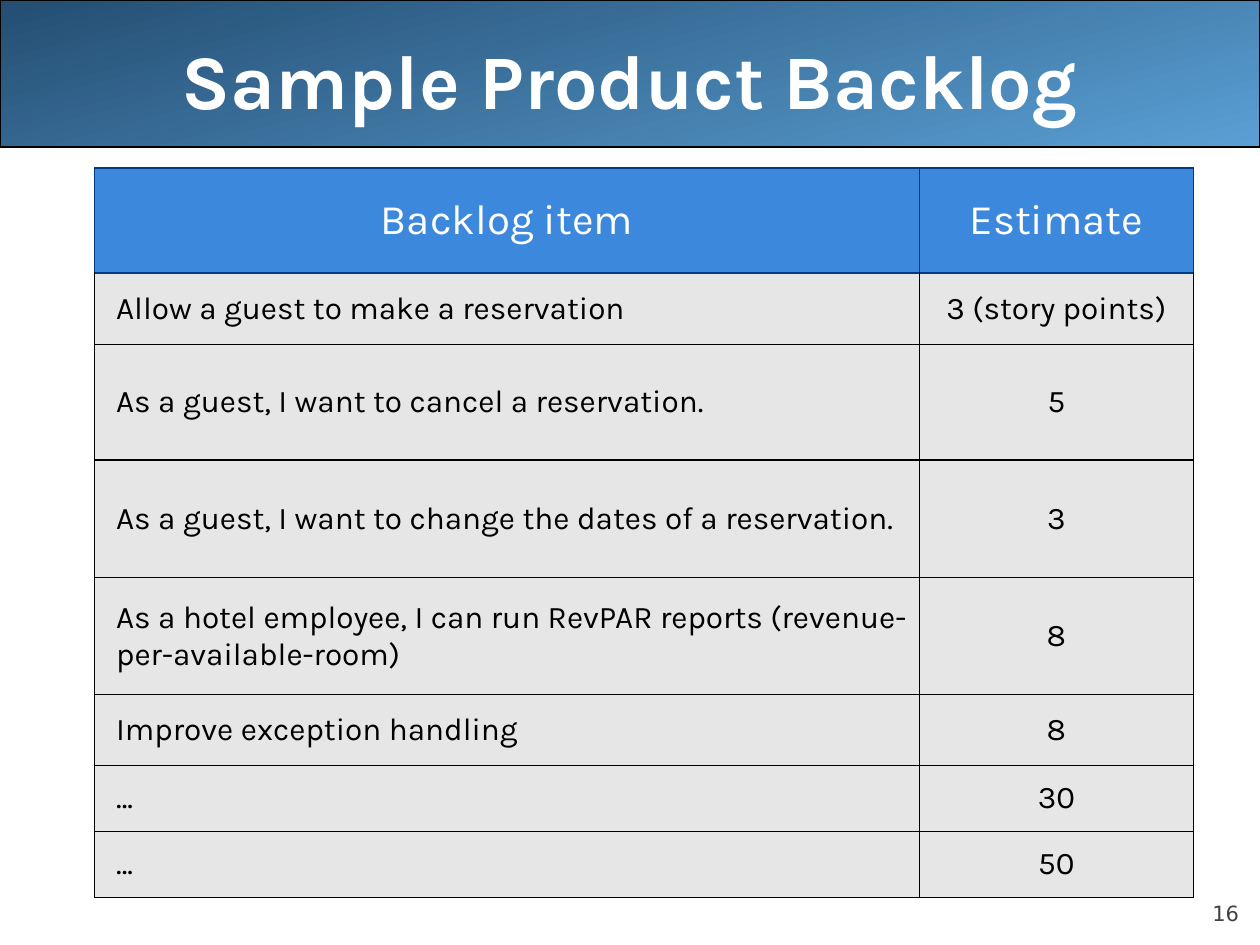
from lxml import etree
from pptx import Presentation
from pptx import util as u
from pptx.dml.color import RGBColor
from pptx.enum import shapes, text
from pptx.oxml import ns

# Content
TITLE = "Sample Product Backlog"
PAGE_NUMBER = "16"
HEADER = ("Backlog item", "Estimate")
BACKLOG = [  # item, estimate, row height
    ("Allow a guest to make a reservation", "3 (story points)", 41),
    ("As a guest, I want to cancel a reservation.", "5", 66),
    ("As a guest, I want to change the dates of a reservation.", "3", 67),
    ("As a hotel employee, I can run RevPAR reports "
     "(revenue-per-available-room)", "8", 67),
    ("Improve exception handling", "8", 40.5),
    ("...", "30", 37.7),
    ("...", "50", 37.7),
]

# Style
FONT, NUMBER_FONT = "Karla", "DejaVu Sans"
WHITE = RGBColor(0xFF, 0xFF, 0xFF)
BLACK = RGBColor(0x00, 0x00, 0x00)
GREY = RGBColor(0x42, 0x42, 0x42)
BANNER_DARK = RGBColor(0x24, 0x4E, 0x72)
BANNER_LIGHT = RGBColor(0x5A, 0x9F, 0xD4)
HEADER_FILL = RGBColor(0x3C, 0x88, 0xDC)
HEADER_LINE = RGBColor(0x00, 0x3C, 0x83)
BODY_FILL = RGBColor(0xE6, 0xE6, 0xE6)

# Layout in points
HEADER_HEIGHT = 60
COLUMNS = (471.4, 156.6)
TABLE_LEFT, TABLE_TOP = 54, 96
CELL_MARGINS = (3, 3.6, 3, 3.6)
ITEM_INDENT = 9.4
BORDER = 0.96
ALIGN = text.PP_ALIGN
MIDDLE = text.MSO_ANCHOR.MIDDLE


def set_margins(target, margins):
    for side, size in zip(("left", "top", "right", "bottom"), margins):
        setattr(target, "margin_" + side, u.Pt(size))


def write(frame, words, size, color, align, font=FONT, bold=False):
    para = frame.paragraphs[0]
    para.alignment = align
    span = para.add_run()
    span.text = words
    span.font.name, span.font.size, span.font.bold = font, u.Pt(size), bold
    span.font.color.rgb = color
    return para


def add_text(page, place, margin, anchor, *style, **options):
    frame = page.shapes.add_textbox(*map(u.Pt, place)).text_frame
    frame.word_wrap = True
    frame.vertical_anchor = anchor
    set_margins(frame, (margin,) * 4)
    write(frame, *style, **options)


def add_borders(cell, color, top_color):
    props = cell._tc.get_or_add_tcPr()
    for side in "LRTB":
        line = etree.SubElement(props, ns.qn("a:ln" + side), w=str(u.Pt(BORDER)))
        solid = etree.SubElement(line, ns.qn("a:solidFill"))
        shade = top_color if side == "T" else color
        etree.SubElement(solid, ns.qn("a:srgbClr"), val=str(shade))


def fill_cell(cell, words, size, color, align, fill, line, top_line):
    cell.vertical_anchor = MIDDLE
    set_margins(cell, CELL_MARGINS)
    add_borders(cell, line, top_line)
    cell.fill.solid()
    cell.fill.fore_color.rgb = fill
    para = write(cell.text_frame, words, size, color, align)
    if align == ALIGN.LEFT:
        props = para._p.get_or_add_pPr()
        props.set("marL", str(u.Pt(ITEM_INDENT)))
        props.set("indent", "0")


def add_banner(page):
    banner = page.shapes.add_shape(
        shapes.MSO_SHAPE.ROUNDED_RECTANGLE, 0, 0, u.Pt(720), u.Pt(84))
    banner.adjustments[0] = 0
    banner.shadow.inherit = False
    banner.fill.gradient()
    banner.fill.gradient_angle = 285  # counter-clockwise
    for stop, color in zip(banner.fill.gradient_stops, (BANNER_DARK, BANNER_LIGHT)):
        stop.color.rgb = color
    banner.line.color.rgb = BLACK
    banner.line.width = u.Pt(0.75)


def add_backlog(page):
    heights = [HEADER_HEIGHT] + [height for *_, height in BACKLOG]
    table = page.shapes.add_table(
        len(heights), len(COLUMNS), u.Pt(TABLE_LEFT), u.Pt(TABLE_TOP),
        u.Pt(sum(COLUMNS)), u.Pt(sum(heights))).table
    for column, width in zip(table.columns, COLUMNS):
        column.width = u.Pt(width)
    for row, height in zip(table.rows, heights):
        row.height = u.Pt(height)

    for col, words in enumerate(HEADER):
        fill_cell(table.cell(0, col), words, 24, WHITE, ALIGN.CENTER,
                  HEADER_FILL, HEADER_LINE, HEADER_LINE)
    for row, (item, estimate, _) in enumerate(BACKLOG, 1):
        top_line = HEADER_LINE if row == 1 else BLACK
        for col, (words, align) in enumerate(
                ((item, ALIGN.LEFT), (estimate, ALIGN.CENTER))):
            fill_cell(table.cell(row, col), words, 18, BLACK, align,
                      BODY_FILL, BLACK, top_line)


def main():
    deck = Presentation()
    deck.slide_width, deck.slide_height = u.Pt(720), u.Pt(540)
    page = deck.slides.add_slide(deck.slide_layouts[6])
    add_banner(page)
    add_text(page, (648, 500.4, 60, 28.8), 0, text.MSO_ANCHOR.BOTTOM,
             PAGE_NUMBER, 12, GREY, ALIGN.RIGHT, font=NUMBER_FONT)
    add_text(page, (36, 0, 648, 90), 3, MIDDLE,
             TITLE, 44, WHITE, ALIGN.CENTER, bold=True)
    add_backlog(page)
    deck.save("out.pptx")


if __name__ == "__main__":
    main()
